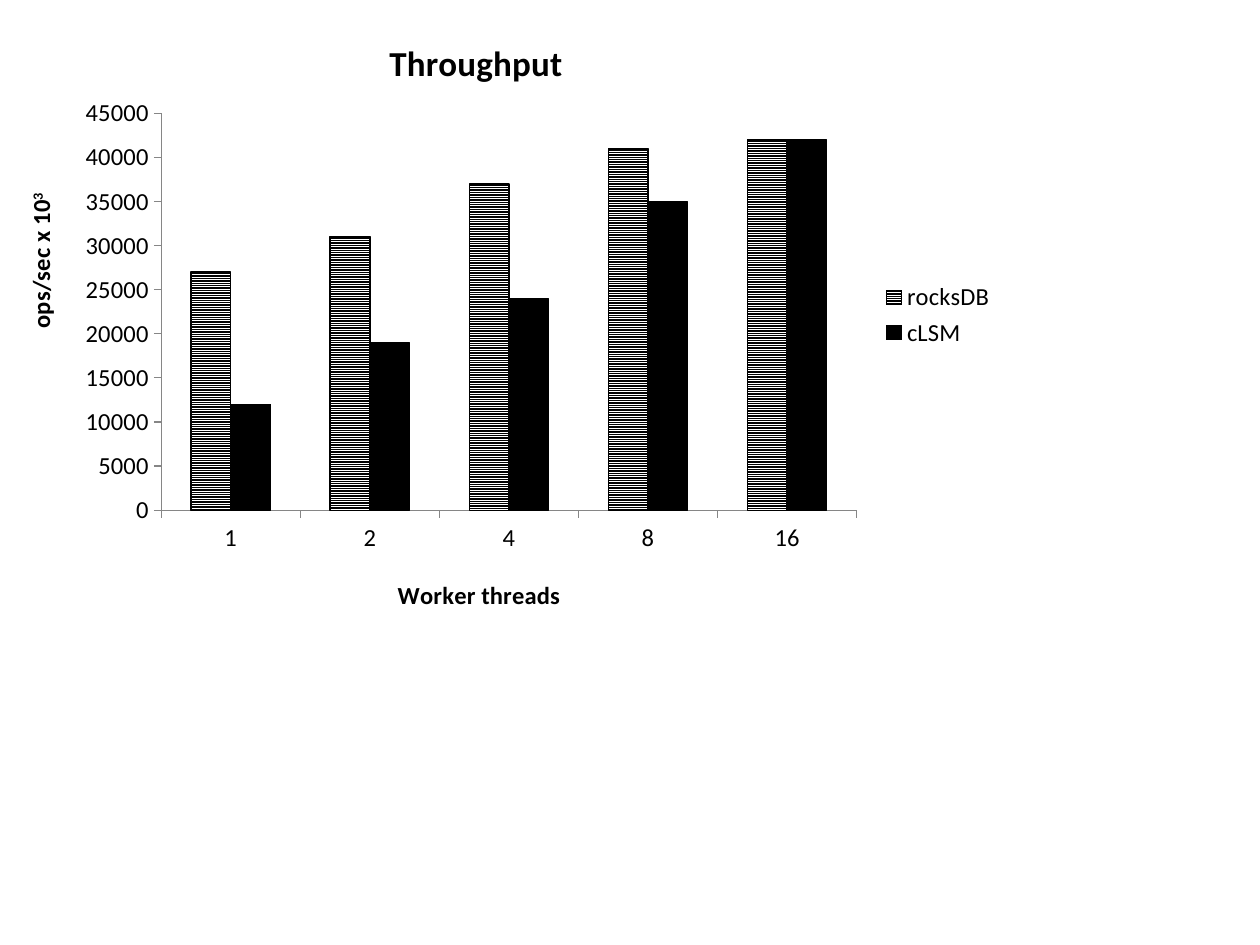
from dataclasses import dataclass

from lxml import etree
from pptx import Presentation
from pptx.chart.data import CategoryChartData
from pptx.dml.color import RGBColor
from pptx.enum import chart as ec, dml
from pptx.oxml.ns import qn
from pptx.util import Inches, Pt

HUES = {"ink": "000000", "paper": "FFFFFF", "axis": "868686"}
CATS = ["1", "2", "4", "8", "16"]


@dataclass
class Bars:
    name: str
    vals: list[int]
    striped: bool


SETS = [
    Bars("rocksDB", [27000, 31000, 37000, 41000, 42000], True),
    Bars("cLSM", [12000, 19000, 24000, 35000, 42000], False),
]


def hue(name: str) -> RGBColor:
    return RGBColor.from_string(HUES[name])


def style(font, size: float, bold: bool = False) -> None:
    look = {"name": "Calibri", "size": Pt(size), "bold": bold}
    for key, val in look.items():
        setattr(font, key, val)
    font.color.rgb = hue("ink")


def place(node, **spots: float) -> None:
    """Give a chart part a manual layout in fractions of the chart."""
    lay = node.find(qn("c:layout"))
    if lay is None:
        lay = etree.Element(qn("c:layout"))
        head = node.find(qn("c:tx"))
        node.insert(0 if head is None else 1, lay)
    for kid in list(lay):
        lay.remove(kid)
    man = etree.SubElement(lay, qn("c:manualLayout"))
    modes = {"xMode": "edge", "yMode": "edge"}
    if "w" in spots:
        modes = {"layoutTarget": "inner", **modes}
    for tag, val in {**modes, **spots}.items():
        etree.SubElement(man, qn(f"c:{tag}")).set("val", str(val))


def label(title, words: str, size: float, x: float, y: float, power: str = "") -> None:
    """Write a bold title, with an optional superscript at its end."""
    para = title.text_frame.paragraphs[0]
    for part in filter(None, (words, power)):
        run = para.add_run()
        run.text = part
        style(run.font, size, True)
    if power:
        run._r.get_or_add_rPr().set("baseline", "30000")
    place(title._element, x=x, y=y)


def paint(bar, striped: bool) -> None:
    fill = bar.format.fill
    if striped:
        fill.patterned()
        fill.pattern = dml.MSO_PATTERN.NARROW_HORIZONTAL
        fill.fore_color.rgb = hue("paper")
        fill.back_color.rgb = hue("ink")
    else:
        fill.solid()
        fill.fore_color.rgb = hue("ink")
    bar.format.line.color.rgb = hue("ink")
    bar.format.line.width = Pt(0.75)
    bar.invert_if_negative = False


def trim(axis) -> None:
    look = {
        "has_major_gridlines": False,
        "major_tick_mark": ec.XL_TICK_MARK.OUTSIDE,
        "minor_tick_mark": ec.XL_TICK_MARK.NONE,
    }
    for key, val in look.items():
        setattr(axis, key, val)
    style(axis.tick_labels.font, 14)
    axis.format.line.color.rgb = hue("axis")
    axis.format.line.width = Pt(0.75)


def main() -> None:
    deck = Presentation()
    deck.slide_width, deck.slide_height = Inches(10), Inches(7.5)
    slide = deck.slides.add_slide(deck.slide_layouts[6])

    data = CategoryChartData()
    data.categories = CATS
    for item in SETS:
        data.add_series(item.name, item.vals)
    chart = slide.shapes.add_chart(
        ec.XL_CHART_TYPE.COLUMN_CLUSTERED, 0, 0, Inches(8), Inches(5), data
    ).chart
    style(chart.font, 10)

    plot = chart.plots[0]
    plot.gap_width, plot.overlap, plot.vary_by_categories = 150, 0, False
    for bar, item in zip(plot.series, SETS):
        paint(bar, item.striped)
    place(chart._chartSpace.chart.plotArea, x=0.16, y=0.18, w=0.69, h=0.63)

    count, rate = chart.category_axis, chart.value_axis
    for axis in (count, rate):
        trim(axis)
    rate.minimum_scale, rate.maximum_scale, rate.major_unit = 0, 45000, 5000
    rate.tick_labels.number_format = "General"
    rate.tick_labels.number_format_is_linked = False

    chart.has_title = True
    label(chart.chart_title, "Throughput", 20, 0.38, 0.05)
    label(count.axis_title, "Worker threads", 14, 0.39, 0.91)
    label(rate.axis_title, "ops/sec x 10", 14, 0.02, 0.3, "3")
    turn = rate.axis_title.text_frame._txBody.bodyPr
    turn.set("rot", "-5400000")
    turn.set("vert", "horz")

    chart.has_legend = True
    chart.legend.position = ec.XL_LEGEND_POSITION.RIGHT
    chart.legend.include_in_layout = False
    style(chart.legend.font, 14)
    deck.save("out.pptx")


if __name__ == "__main__":
    main()
